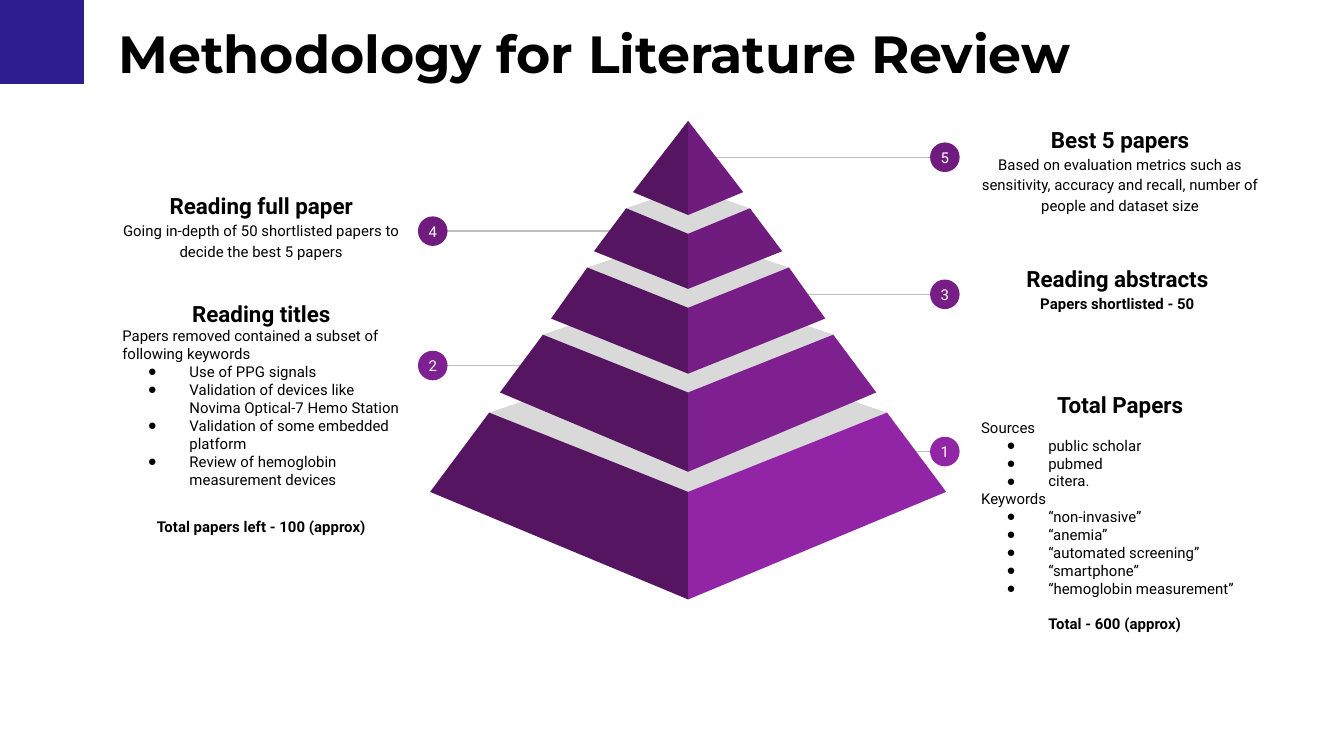
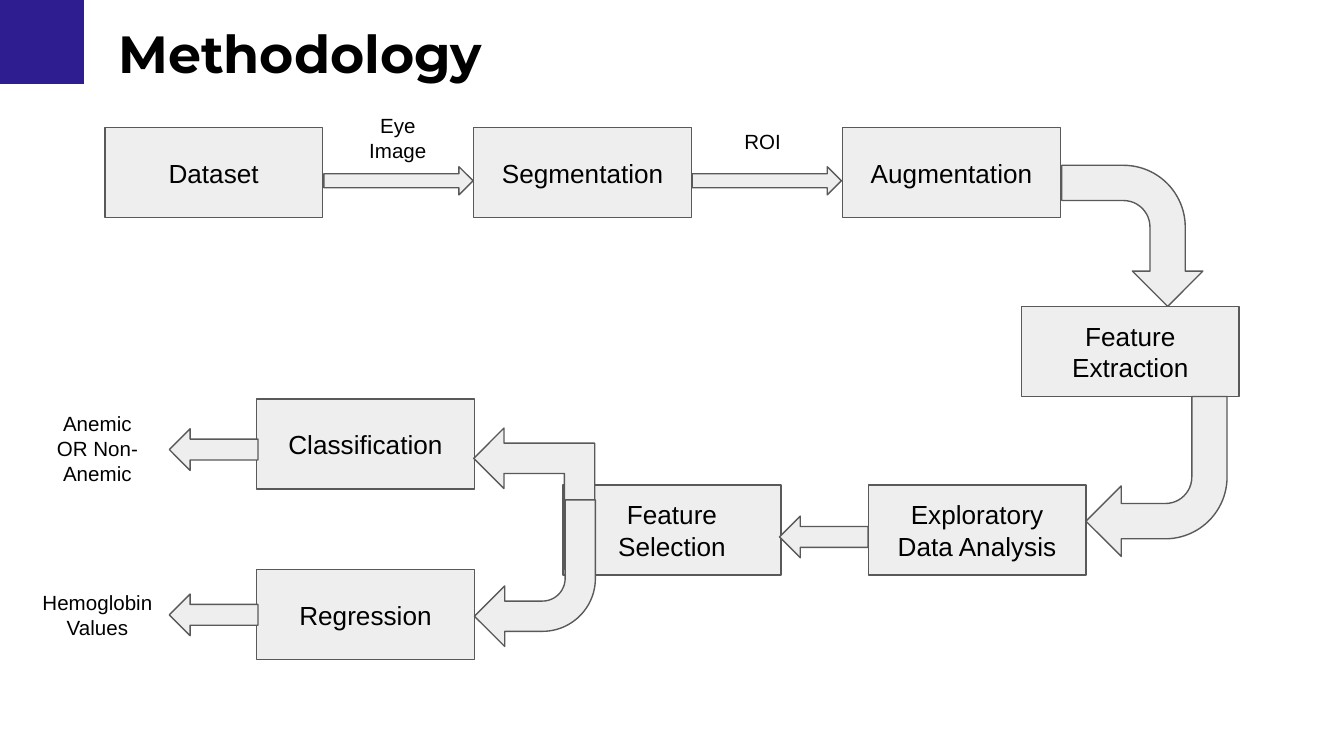
from dataclasses import dataclass

from lxml import etree
from pptx import Presentation
from pptx.dml.color import RGBColor
from pptx.enum.shapes import MSO_CONNECTOR, MSO_SHAPE
from pptx.enum.text import MSO_ANCHOR, MSO_AUTO_SIZE, PP_ALIGN
from pptx.oxml.ns import qn
from pptx.util import Inches, Pt

RECTANGLE, OVAL = MSO_SHAPE.RECTANGLE, MSO_SHAPE.OVAL
RIGHT_ARROW, LEFT_ARROW = MSO_SHAPE.RIGHT_ARROW, MSO_SHAPE.LEFT_ARROW
BENT_ARROW, BENT_UP_ARROW = MSO_SHAPE.BENT_ARROW, MSO_SHAPE.BENT_UP_ARROW
STRAIGHT = MSO_CONNECTOR.STRAIGHT
LEFT, CENTER = PP_ALIGN.LEFT, PP_ALIGN.CENTER
TOP, MIDDLE = MSO_ANCHOR.TOP, MSO_ANCHOR.MIDDLE
NO_AUTOFIT = MSO_AUTO_SIZE.NONE

BLACK = RGBColor(0x00, 0x00, 0x00)
WHITE = RGBColor(0xFF, 0xFF, 0xFF)
INDIGO = RGBColor(0x2E, 0x1D, 0x91)
SHADE = RGBColor(0x55, 0x15, 0x61)
PURPLE_TOP = RGBColor(0x70, 0x1C, 0x7F)
PURPLE_THIRD = RGBColor(0x76, 0x1E, 0x86)
PURPLE_SECOND = RGBColor(0x7F, 0x20, 0x90)
PURPLE_BASE = RGBColor(0x92, 0x25, 0xA5)
TIER_GRAY = RGBColor(0xD9, 0xD9, 0xD9)
LEADER_GRAY = RGBColor(0xBD, 0xBD, 0xBD)
BOX_GRAY = RGBColor(0xEE, 0xEE, 0xEE)
OUTLINE_GRAY = RGBColor(0x59, 0x59, 0x59)

TITLE_FONT, TEXT_FONT, DIAGRAM_FONT = "Montserrat", "Roboto", "Arial"

# The grid has square cells: 100 columns by 56.25 rows.
SLIDE_WIDTH = Inches(10)
SLIDE_HEIGHT = SLIDE_WIDTH * 9 // 16
CELL = SLIDE_WIDTH // 100
MARGIN = CELL
TWO_CONTENT, TITLE_ONLY = 3, 5


@dataclass
class Line:
    text: str
    size: int = 8
    bold: bool = False
    align: PP_ALIGN = LEFT
    bullet: bool = False
    indent: float = 0
    before: float = 0
    spacing: float = 1


def cells(*values):
    return [round(value * CELL) for value in values]


def heading(text, spacing=1):
    return Line(text, 12, bold=True, align=CENTER, spacing=spacing)


def bullets(*texts):
    return [Line(text, bullet=True, indent=5) for text in texts]


class Deck:
    def __init__(self):
        self.presentation = Presentation()
        self.presentation.slide_width = SLIDE_WIDTH
        self.presentation.slide_height = SLIDE_HEIGHT
        self.slide = None

    def add_slide(self, title, layout):
        layouts = self.presentation.slide_layouts
        self.slide = self.presentation.slides.add_slide(layouts[layout])
        self.fill_placeholder(0, (7.8, 0.6, 84.4, 6.7), [Line(title, 28, bold=True)],
                              TITLE_FONT, TOP)

    def add_master_corner(self):
        """Put the corner square on the master, behind every slide."""
        corner = self.shape(RECTANGLE, (0, 0, 6.25, 6.25), INDIGO)
        corner.element.nvSpPr.cNvPr.id = 99
        self.presentation.slide_master.element.cSld.spTree.insert(2, corner.element)

    def fill_placeholder(self, index, box, lines, font=TEXT_FONT, anchor=MIDDLE):
        placeholder = self.slide.placeholders[index]
        (placeholder.left, placeholder.top,
         placeholder.width, placeholder.height) = cells(*box)
        self.set_lines(placeholder, lines, font, anchor=anchor)

    def set_lines(self, shape, lines, font, color=BLACK, anchor=MIDDLE, margin=MARGIN):
        frame = shape.text_frame
        frame.word_wrap = True
        frame.auto_size = NO_AUTOFIT
        frame.vertical_anchor = anchor
        frame.margin_left = frame.margin_right = margin
        frame.margin_top = frame.margin_bottom = margin
        for position, line in enumerate(lines):
            paragraph = frame.add_paragraph() if position else frame.paragraphs[0]
            self.set_bullet(paragraph, line)
            paragraph.alignment = line.align
            paragraph.line_spacing = line.spacing
            paragraph.space_before = Pt(line.before)
            run = paragraph.add_run()
            run.text = line.text
            run.font.name = font
            run.font.size = Pt(line.size)
            run.font.bold = line.bold
            run.font.color.rgb = color

    def set_bullet(self, paragraph, line):
        properties = paragraph._p.get_or_add_pPr()
        hanging = -3.1 if line.bullet else 0
        left, first = cells(line.indent, hanging)
        properties.set("marL", str(left))
        properties.set("indent", str(first))
        if line.bullet:
            color = etree.SubElement(properties, qn("a:buClr"))
            etree.SubElement(color, qn("a:srgbClr"), val=str(BLACK))
            etree.SubElement(properties, qn("a:buChar"), char="●")
        else:
            etree.SubElement(properties, qn("a:buNone"))

    def paint(self, shape, fill, outline=None):
        shape.shadow.inherit = False
        shape.fill.solid()
        shape.fill.fore_color.rgb = fill
        if outline is None:
            shape.line.fill.background()
        else:
            shape.line.color.rgb = outline
            shape.line.width = Pt(0.75)

    def shape(self, kind, box, fill, outline=None, rotation=0):
        shape = self.slide.shapes.add_shape(kind, *cells(*box))
        shape.rotation = rotation
        self.paint(shape, fill, outline)
        return shape

    def text(self, box, lines, font=TEXT_FONT, anchor=MIDDLE):
        text_box = self.slide.shapes.add_textbox(*cells(*box))
        self.set_lines(text_box, lines, font, anchor=anchor)

    def polygon(self, points, fill):
        start, *others = [cells(*point) for point in points]
        builder = self.slide.shapes.build_freeform(*start)
        builder.add_line_segments(others, close=True)
        self.paint(builder.convert_to_shape(), fill)

    def leader(self, start, end):
        connector = self.slide.shapes.add_connector(STRAIGHT, *cells(*start, *end))
        connector.line.color.rgb = LEADER_GRAY
        connector.line.width = Pt(0.75)
        etree.SubElement(connector.element.spPr, qn("a:effectLst"))

    def badge(self, number, x, y, leader_end, fill):
        """Numbered circle centred on (x, y), with a line to the pyramid."""
        self.leader((x, y), (leader_end, y))
        circle = self.shape(OVAL, (x - 1.1, y - 1.1, 2.2, 2.2), fill)
        self.set_lines(circle, [Line(str(number), align=CENTER)], TEXT_FONT, WHITE, margin=0)

    def tier(self, color, half_top, back, shoulder, ridge, half_base, side, foot):
        """One pyramid tier: gray top, then the shaded and the lit face."""
        middle = 51.2
        if half_top:
            self.polygon([(middle - half_top, shoulder), (middle, ridge),
                          (middle + half_top, shoulder), (middle, back)], TIER_GRAY)
        for sign, fill in ((-1, SHADE), (1, color)):
            outer = [(middle + sign * half_top, shoulder)] if half_top else []
            self.polygon(outer + [(middle, ridge), (middle, foot),
                                  (middle + sign * half_base, side)], fill)

    def step(self, label, x, y):
        box = self.shape(RECTANGLE, (x, y, 16.2, 6.7), BOX_GRAY, OUTLINE_GRAY)
        self.set_lines(box, [Line(label, 14, align=CENTER)], DIAGRAM_FONT)

    def arrow(self, kind, box, rotation=0):
        self.shape(kind, box, BOX_GRAY, OUTLINE_GRAY, rotation)

    def label(self, box, *texts, align=CENTER):
        self.text(box, [Line(text, 11, align=align) for text in texts], DIAGRAM_FONT, TOP)


def build_literature_review(deck):
    deck.add_slide("Methodology for Literature Review", TWO_CONTENT)
    deck.add_master_corner()

    left_badges, right_badges = 32.2, 70.3
    for number, x, y, leader_end, fill in (
        (5, right_badges, 11.7, 52.9, PURPLE_TOP),
        (3, right_badges, 21.9, 58.8, PURPLE_THIRD),
        (1, right_badges, 33.6, 64.4, PURPLE_BASE),
        (4, left_badges, 17.2, 45.7, PURPLE_TOP),
        (2, left_badges, 27.2, 40.8, PURPLE_SECOND),
    ):
        deck.badge(number, x, y, leader_end, fill)

    for tier in (
        (PURPLE_BASE, 14.8, 25.7, 30.7, 36.6, 19.2, 36.6, 44.6),
        (PURPLE_SECOND, 10.8, 21.2, 24.9, 29.2, 14, 29.2, 35.1),
        (PURPLE_THIRD, 7.5, 17.4, 19.9, 22.9, 10.2, 23.7, 27.8),
        (PURPLE_TOP, 4.6, 13.9, 15.5, 17.4, 7, 18.7, 21.5),
        (PURPLE_TOP, 0, 9, 9, 9, 4.1, 14.3, 16),
    ):
        deck.tier(*tier)

    deck.text((71.7, 8.1, 23.3, 8.8), [
        heading("Best 5 papers", 1.15),
        Line("Based on evaluation metrics such as sensitivity, accuracy and recall, "
             "number of people and dataset size", align=CENTER, spacing=1.15),
    ])
    deck.text((71.5, 17.8, 23.3, 6.4), [
        heading("Reading abstracts", 1.5),
        Line("Papers shortlisted - 50", bold=True, align=CENTER, spacing=1.15),
    ])
    deck.text((7.8, 13.1, 23.3, 7.2), [
        heading("Reading full paper", 1.15),
        Line("Going in-depth of 50 shortlisted papers to decide the best 5 papers",
             align=CENTER, spacing=1.15),
    ])
    deck.fill_placeholder(1, (8.1, 21.2, 22.7, 19.8), [
        heading("Reading titles"),
        Line("Papers removed contained a subset of following keywords"),
        *bullets("Use of PPG signals",
                 "Validation of devices like Novima Optical-7 Hemo Station",
                 "Validation of some embedded platform",
                 "Review of hemoglobin measurement devices"),
        Line("Total papers left - 100 (approx)", bold=True, align=CENTER, before=16),
    ])
    deck.fill_placeholder(2, (72, 28, 22.7, 20.2), [
        heading("Total Papers"),
        Line("Sources"),
        *bullets("public scholar", "pubmed", "citera."),
        Line("Keywords"),
        *bullets("“non-invasive”", "“anemia”", "“automated screening”",
                 "“smartphone”", "“hemoglobin measurement”"),
        Line("Total - 600 (approx)", bold=True, indent=5, before=9.4),
    ])


def build_methodology(deck):
    deck.add_slide("Methodology", TITLE_ONLY)

    for position, name in enumerate(("Dataset", "Segmentation", "Augmentation")):
        deck.step(name, 7.8 + 27.45 * position, 9.5)
    deck.step("Feature Extraction", 76, 22.8)
    deck.step("Exploratory Data Analysis", 64.6, 36.1)
    deck.step("Feature Selection", 41.9, 36.1)
    deck.step("Regression", 19.1, 42.4)
    deck.step("Classification", 19.1, 29.7)

    for x in (24.1, 51.5):
        deck.arrow(RIGHT_ARROW, (x, 12.4, 11.1, 2.1))
    deck.arrow(BENT_ARROW, (79, 12.3, 10.5, 10.5), 90)
    deck.arrow(BENT_ARROW, (80.8, 29.5, 10.5, 11.9), 180)
    deck.arrow(LEFT_ARROW, (58, 38.4, 6.6, 3.1))
    deck.arrow(BENT_UP_ARROW, (34.5, 32.6, 10.5, 9), 270)
    deck.arrow(BENT_ARROW, (35.3, 37.2, 9, 10.9), 180)
    for y in (31.9, 44.2):
        deck.arrow(LEFT_ARROW, (12.6, y, 6.6, 3.1))

    deck.label((2, 29.6, 10.5, 7.6), "Anemic", "OR Non-Anemic")
    deck.label((2, 42.9, 10.5, 5.7), "Hemoglobin Values")
    deck.label((26, 7.4, 7.2, 5.7), "Eye Image")
    deck.label((54.4, 8.6, 5.4, 3.9), "ROI", align=LEFT)


def main():
    deck = Deck()
    build_literature_review(deck)
    build_methodology(deck)
    deck.presentation.save("out.pptx")


if __name__ == "__main__":
    main()
